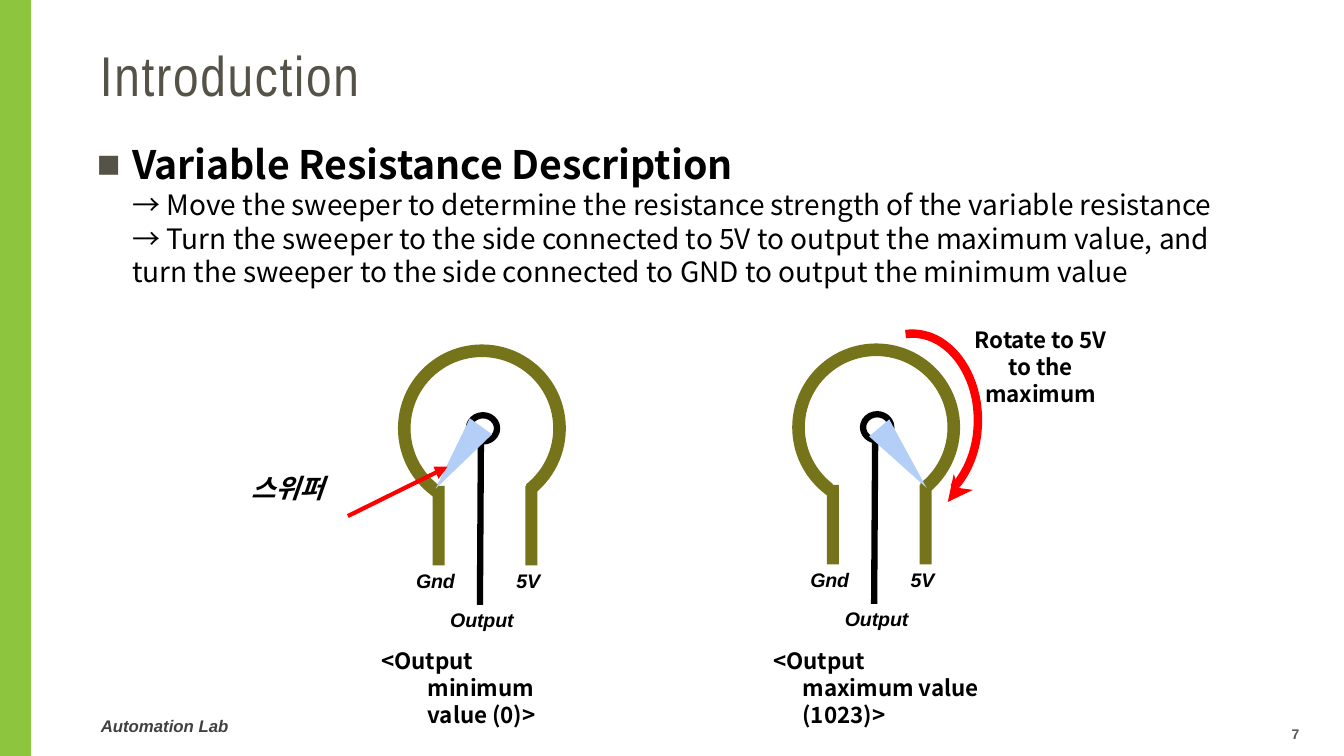
"""Build the Introduction slide that explains a variable resistance."""
from math import cos, radians, sin

from lxml import etree
from pptx import Presentation
from pptx.dml.color import RGBColor
from pptx.enum.shapes import MSO_CONNECTOR, MSO_SHAPE
from pptx.enum.text import MSO_ANCHOR, PP_ALIGN
from pptx.oxml.ns import qn
from pptx.util import Pt

PX = 9144
RECTANGLE, OVAL = MSO_SHAPE.RECTANGLE, MSO_SHAPE.OVAL
STRAIGHT = MSO_CONNECTOR.STRAIGHT
LEFT, CENTER, TOP = PP_ALIGN.LEFT, PP_ALIGN.CENTER, MSO_ANCHOR.TOP

THEME = {
    "green": "8DC53E", "olive": "75741A", "sweeper": "B3CFF8", "red": "FF0000",
    "white": "FFFFFF", "black": "000000", "title": "555248",
    "footer": "404040", "number": "585858",
    "latin": "Arial", "narrow": "Arial Narrow", "korean": "Noto Sans CJK KR",
    "title_size": 40, "heading_size": 28, "body_size": 20, "sweeper_size": 19,
    "caption_size": 16, "label_size": 14, "footer_size": 12, "number_size": 10,
}


def paint(shape, fill=None, line=None, width=0):
    """Give a shape its fill and outline, without a shadow."""
    shape.shadow.inherit = False
    if fill:
        shape.fill.solid()
        shape.fill.fore_color.rgb = RGBColor.from_string(THEME[fill])
    else:
        shape.fill.background()
    if line:
        shape.line.color.rgb = RGBColor.from_string(THEME[line])
        shape.line.width = Pt(width)
    else:
        shape.line.fill.background()


def write(holder, place, paragraphs):
    """Place a text holder and fill it with formatted paragraphs."""
    holder.left, holder.top, holder.width, holder.height = (n * PX for n in place)
    frame = holder.text_frame
    frame.word_wrap = True
    frame.vertical_anchor = TOP
    frame.margin_left = frame.margin_top = frame.margin_right = frame.margin_bottom = 0
    for index, (text, font, size, color, look) in enumerate(paragraphs):
        para = frame.add_paragraph() if index else frame.paragraphs[0]
        para.text = text
        para.alignment = look.get("align", LEFT)
        para.space_before = Pt(look.get("before", 0))
        margin, indent = look.get("indent", (0, 0))
        properties = para._p.get_or_add_pPr()
        properties.set("marL", str(margin * PX))
        properties.set("indent", str(indent * PX))
        if "bullet" in look:
            bullet_color = etree.SubElement(properties, qn("a:buClr"))
            etree.SubElement(bullet_color, qn("a:srgbClr"), val=THEME["title"])
            etree.SubElement(properties, qn("a:buFont"), typeface=THEME["latin"])
            etree.SubElement(properties, qn("a:buChar"), char=look["bullet"])
        para.font.size = Pt(THEME[size])
        para.font.bold = look.get("bold", False)
        para.font.italic = look.get("italic", False)
        para.font.color.rgb = RGBColor.from_string(THEME[color])
        para.font.name = THEME[font]
        letters = properties.find(qn("a:defRPr"))
        letters.set("spc", str(look.get("spacing", 0)))
        etree.SubElement(letters, qn("a:ea"), typeface=THEME[font])


deck = Presentation()
deck.slide_width, deck.slide_height = 1333 * PX, 750 * PX
page = deck.slides.add_slide(deck.slide_layouts[5])
shapes = page.shapes

side_bar = shapes.add_shape(RECTANGLE, 0, 0, 31 * PX, 750 * PX)
paint(side_bar, "green")
write(shapes.title, (99, 40, 561, 69),
      [("Introduction", "narrow", "title_size", "title", {"spacing": 130})])

dials = [
    (0, 0, [(466, 415), (432, 485), (488, 431)],
     (377, 603, 202, 96), "<Output\vminimum\vvalue (0)>", (47, -46), 11.2),
    (391, -1, [(882, 416), (862, 433), (919, 484)],
     (766, 602, 207, 97), "<Output\vmaximum value\v(1023)>", (30, -29), 12.2),
]
label = {"align": CENTER, "bold": True, "italic": True, "spacing": -10}
for dx, dy, sweeper_points, caption_place, caption, caption_indent, caption_gap in dials:
    dial = shapes.add_group_shape().shapes
    for kind, x, y, width, height, fill, line, weight in [
        (OVAL, 401, 348, 154, 154, None, "olive", 9),
        (RECTANGLE, 435, 458, 87, 87, "white", None, 0),
        (RECTANGLE, 429, 482, 12, 79, "olive", None, 0),
        (RECTANGLE, 521, 482, 12, 79, "olive", None, 0),
        (OVAL, 465, 412, 28, 26, "white", "black", 4.5),
    ]:
        part = dial.add_shape(kind, (x + dx) * PX, (y + dy) * PX, width * PX, height * PX)
        paint(part, fill, line, weight)
    stem = dial.add_connector(STRAIGHT, (477 + dx) * PX, (438 + dy) * PX,
                              (476 + dx) * PX, (600 + dy) * PX)
    stem.line.color.rgb = RGBColor.from_string(THEME["black"])
    stem.line.width = Pt(4.5)
    etree.SubElement(stem._element.spPr, qn("a:effectLst"))
    outline = dial.build_freeform(*sweeper_points[0], scale=PX)
    outline.add_line_segments(sweeper_points[1:])
    paint(outline.convert_to_shape(), "sweeper")
    for terminal, x in [("Gnd", 402), ("5V", 494)]:
        write(shapes.add_textbox(0, 0, 0, 0), (x + dx, 564 + dy, 60, 23),
              [(terminal, "latin", "label_size", "black", label)])
    write(shapes.add_textbox(0, 0, 0, 0), caption_place, [
        ("Output", "latin", "label_size", "black", label),
        (caption, "korean", "caption_size", "black",
         {"bold": True, "indent": caption_indent, "before": caption_gap}),
    ])

arc_points = [(9050 + 650 * cos(radians(angle)), 4170 + 860 * sin(radians(angle)))
              for angle in range(-96, 52, 3)]
arc = shapes.build_freeform(*arc_points[0], scale=PX / 10)
arc.add_line_segments(arc_points[1:], close=False)
paint(arc.convert_to_shape(), None, "red", 6)

pointer = shapes.add_connector(STRAIGHT, 345 * PX, 512 * PX, 434 * PX, 468 * PX)
pointer.line.color.rgb = RGBColor.from_string(THEME["red"])
pointer.line.width = Pt(3)
etree.SubElement(pointer._element.spPr, qn("a:effectLst"))

for head_points in [
    [(946, 470), (940, 498), (965, 486), (950, 484)],
    [(430, 463), (435, 475), (444, 463)],
]:
    head = shapes.build_freeform(*head_points[0], scale=PX)
    head.add_line_segments(head_points[1:])
    paint(head.convert_to_shape(), "red")

body = {"indent": (37, 0)}
for place, paragraphs in [
    ((100, 710, 130, 21),
     [("Automation Lab", "latin", "footer_size", "footer", {"bold": True, "italic": True})]),
    ((1281, 720, 20, 17), [("7", "latin", "number_size", "number", {"bold": True})]),
    ((94, 139, 1111, 150), [
        ("Variable Resistance Description", "korean", "heading_size", "black",
         {"bold": True, "bullet": "■", "indent": (37, -35), "spacing": -5}),
        ("→ Move the sweeper to determine the resistance strength of the variable resistance",
         "korean", "body_size", "black", {**body, "before": 0.2}),
        ("→ Turn the sweeper to the side connected to 5V to output the maximum value, and "
         "turn the sweeper to the side connected to GND to output the minimum value",
         "korean", "body_size", "black", body),
    ]),
    ((962, 324, 140, 82),
     [("Rotate to 5V to the maximum", "korean", "caption_size", "black",
       {"align": CENTER, "bold": True, "spacing": -5})]),
    ((249, 468, 100, 32),
     [("스위퍼", "korean", "sweeper_size", "black",
       {"bold": True, "italic": True, "spacing": -20})]),
]:
    write(shapes.add_textbox(0, 0, 0, 0), place, paragraphs)

deck.save("out.pptx")
